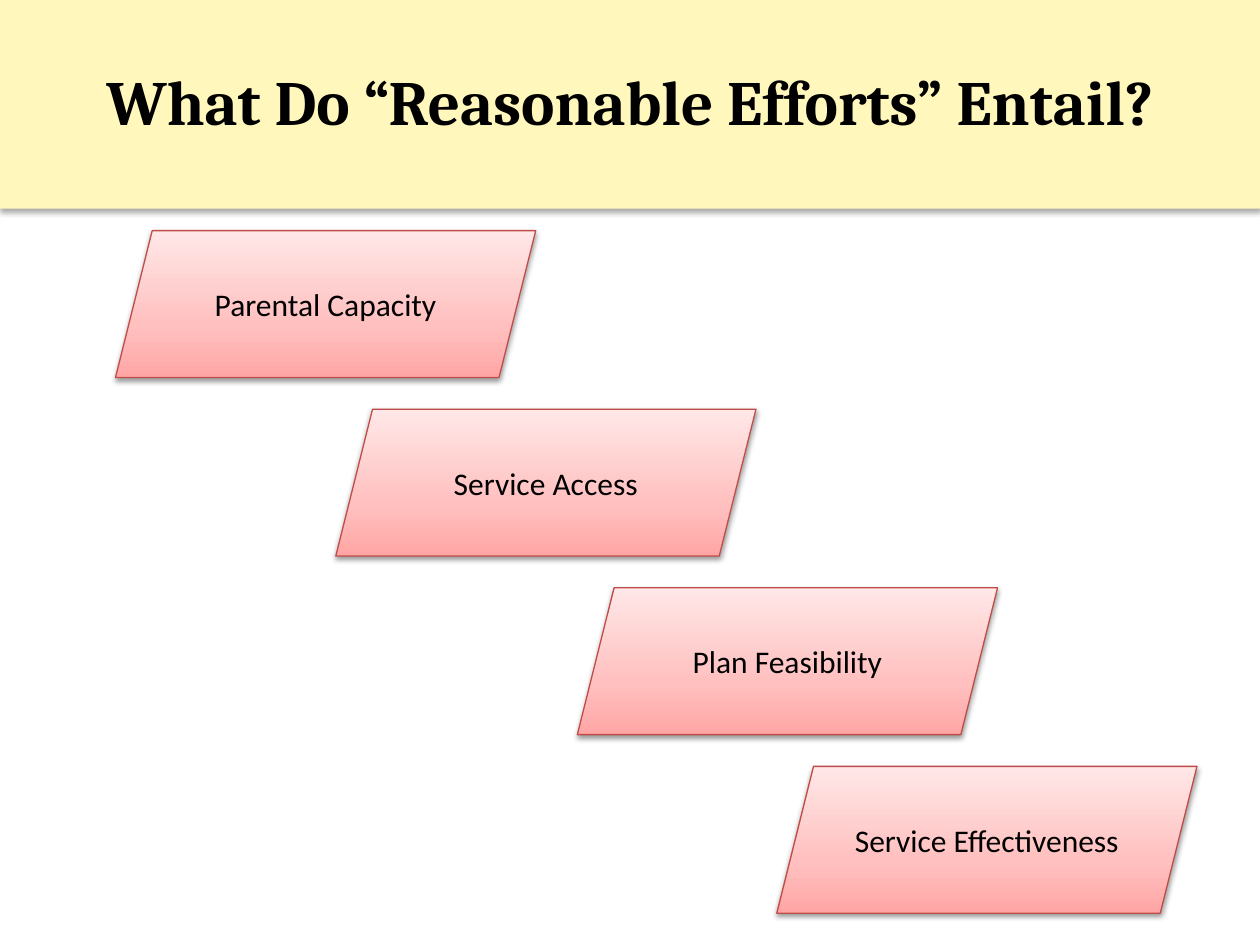
from lxml.etree import SubElement
from pptx import Presentation
from pptx.dml.color import RGBColor
from pptx.enum.shapes import MSO_SHAPE as Shape
from pptx.enum.text import MSO_ANCHOR as Anchor, PP_ALIGN as Align
from pptx.oxml.ns import qn
from pptx.util import Cm, Pt

BLACK = RGBColor(0x00, 0x00, 0x00)
CREAM = RGBColor(0xFF, 0xF7, 0xBB)
RED = RGBColor(0xBF, 0x4C, 0x48)
PINKS = [
    (0, RGBColor(0xFF, 0xA6, 0xA5)),
    (35, RGBColor(0xFF, 0xC0, 0xBF)),
    (100, RGBColor(0xFF, 0xE7, 0xE7)),
]

# Label and left edge in cm, from top to bottom
STEPS = [
    ("Parental Capacity", 2.33),
    ("Service Access", 6.77),
    ("Plan Feasibility", 11.64),
    ("Service Effectiveness", 15.66),
]
FIRST_TOP, STEP_PITCH = 4.65, 3.6
STEP_WIDTH, STEP_HEIGHT = 8.47, 2.96


def add_color(parent, color):
    return SubElement(parent, qn("a:srgbClr"), val=str(color))


def set_gradient(sp, stops):
    """Fill sp with (percent, colour) stops running from bottom to top."""
    sp.fill.gradient()
    sp.fill.gradient_angle = 90
    stop_list = sp._element.spPr.find(".//" + qn("a:gsLst"))
    for stop in list(stop_list):
        stop_list.remove(stop)
    for percent, color in stops:
        add_color(SubElement(stop_list, qn("a:gs"), pos=str(percent * 1000)), color)


def set_shadow(sp, alpha, distance):
    """Drop a soft black shadow straight down; alpha in percent, distance in points."""
    sp.shadow.inherit = False
    effects = sp._element.spPr.find(qn("a:effectLst"))
    shadow = SubElement(
        effects, qn("a:outerShdw"), blurRad=str(Pt(3.1)), dist=str(Pt(distance)),
        dir="5400000", rotWithShape="0",
    )
    SubElement(add_color(shadow, BLACK), qn("a:alpha"), val=str(alpha * 1000))


def set_text(sp, text, font, size, bold=False):
    tf = sp.text_frame
    tf.word_wrap = True
    tf.vertical_anchor = Anchor.MIDDLE
    p = tf.paragraphs[0]
    p.alignment = Align.CENTER
    r = p.add_run()
    r.text = text
    r.font.name = font
    r.font.size = Pt(size)
    r.font.bold = bold
    r.font.color.rgb = BLACK


def add_step(s, text, left, top):
    sp = s.shapes.add_shape(
        Shape.PARALLELOGRAM, Cm(left), Cm(top), Cm(STEP_WIDTH), Cm(STEP_HEIGHT)
    )
    set_gradient(sp, PINKS)
    sp.line.color.rgb = RED
    sp.line.width = Pt(0.75)
    set_shadow(sp, 38, 1.6)
    set_text(sp, text, "Calibri", 18)


def add_title_band(s, width):
    sp = s.shapes.add_shape(Shape.RECTANGLE, 0, Cm(-0.03), width, Cm(4.24))
    sp.fill.solid()
    sp.fill.fore_color.rgb = CREAM
    sp.line.fill.background()
    set_shadow(sp, 35, 1.8)


def place_title(s, text):
    title = s.shapes.title
    title.left, title.top = Cm(1.27), Cm(0.43)
    title.width, title.height = Cm(22.86), Cm(3.18)
    set_text(title, text, "Cambria", 36, bold=True)
    # Bring the title in front of its band
    s.shapes._spTree.append(title._element)


def main():
    prs = Presentation()
    prs.slide_width, prs.slide_height = Cm(25.4), Cm(19.05)
    s = prs.slides.add_slide(prs.slide_layouts[5])
    for i, (text, left) in enumerate(STEPS):
        add_step(s, text, left, FIRST_TOP + i * STEP_PITCH)
    add_title_band(s, prs.slide_width)
    place_title(s, "What Do “Reasonable Efforts” Entail?")
    prs.save("out.pptx")


if __name__ == "__main__":
    main()
